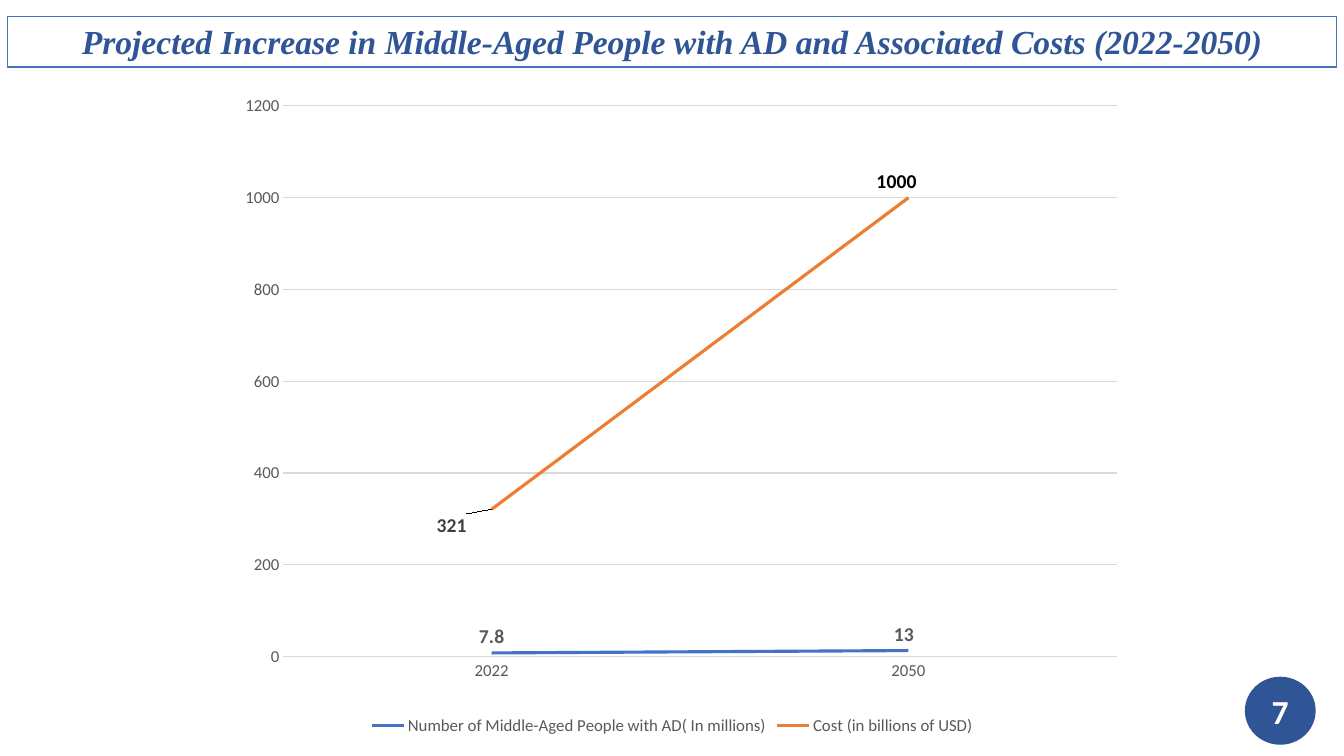
import dataclasses

import lxml.etree
import pptx
import pptx.chart.data
import pptx.dml.color
import pptx.enum.chart
import pptx.enum.shapes
import pptx.enum.text
import pptx.oxml.ns
import pptx.util
from pptx.util import Cm


@dataclasses.dataclass(frozen=True)
class Theme:
    body_font: str = "Calibri"
    title_font: str = "Times New Roman"
    navy: str = "2F5597"
    badge_edge: str = "325491"
    blue: str = "4472C4"
    orange: str = "ED7D31"
    white: str = "FFFFFF"
    black: str = "000000"
    dark_grey: str = "404040"
    grey: str = "595959"
    light_grey: str = "D9D9D9"
    title_size: int = 24
    label_size: int = 14
    axis_size: int = 12
    chart_size: int = 10


@dataclasses.dataclass(frozen=True)
class PointLabel:
    color: str
    shift: tuple = ()  # fractions of the chart's width and height


class SlideBuilder:
    def __init__(self, slide, theme):
        self.slide = slide
        self.theme = theme

    def set_font(self, font, size, color, name=None, bold=False, italic=False):
        font.name = name or self.theme.body_font
        font.size = pptx.util.Pt(size)
        font.color.rgb = pptx.dml.color.RGBColor.from_string(color)
        font.bold = bold
        font.italic = italic

    def set_line(self, line, color, width):
        line.color.rgb = pptx.dml.color.RGBColor.from_string(color)
        line.width = pptx.util.Pt(width)

    def add_text_shape(self, preset, box, text, color, edge, edge_width, fill=None,
                       anchor=pptx.enum.text.MSO_ANCHOR.MIDDLE, **style):
        shape = self.slide.shapes.add_shape(preset, *map(Cm, box))
        shape.shadow.inherit = False
        if fill:
            shape.fill.solid()
            shape.fill.fore_color.rgb = pptx.dml.color.RGBColor.from_string(fill)
        else:
            shape.fill.background()
        self.set_line(shape.line, edge, edge_width)
        frame = shape.text_frame
        frame.word_wrap = True
        frame.vertical_anchor = anchor
        paragraph = frame.paragraphs[0]
        paragraph.text = text
        paragraph.alignment = pptx.enum.text.PP_ALIGN.CENTER
        self.set_font(paragraph.font, self.theme.title_size, color, **style)
        return shape

    def add_layout(self, parent, index, **settings):
        """Place a manual chart layout among the children of parent."""
        qn = pptx.oxml.ns.qn
        for previous in parent.findall(qn("c:layout")):
            parent.remove(previous)
        layout = lxml.etree.Element(qn("c:layout"))
        manual = lxml.etree.SubElement(layout, qn("c:manualLayout"))
        for key, value in settings.items():
            lxml.etree.SubElement(manual, qn(f"c:{key}")).set("val", str(value))
        parent.insert(index, layout)

    def style_axis(self, axis):
        axis.major_tick_mark = pptx.enum.chart.XL_TICK_MARK.NONE
        axis.minor_tick_mark = pptx.enum.chart.XL_TICK_MARK.NONE
        self.set_font(axis.tick_labels.font, self.theme.axis_size, self.theme.grey)

    def style_series(self, series, color, point_labels):
        above = pptx.enum.chart.XL_LABEL_POSITION.ABOVE
        series.smooth = False
        self.set_line(series.format.line, color, 2.25)
        labels = series.data_labels
        labels.show_value = True
        labels.position = above
        self.set_font(labels.font, self.theme.axis_size, self.theme.dark_grey)
        for index, point_label in enumerate(point_labels):
            label = series.points[index].data_label
            self.set_font(label.font, self.theme.label_size, point_label.color, bold=True)
            label.position = above
            if point_label.shift:
                element = series._element.xpath(f'c:dLbls/c:dLbl[c:idx/@val="{index}"]')[0]
                x, y = point_label.shift
                self.add_layout(element, 1, x=x, y=y)

    def add_line_chart(self, box, categories, lines):
        data = pptx.chart.data.CategoryChartData()
        data.categories = categories
        for name, values, _, _ in lines:
            data.add_series(name, values)
        chart = self.slide.shapes.add_chart(
            pptx.enum.chart.XL_CHART_TYPE.LINE, *map(Cm, box), data).chart
        self.set_font(chart.font, self.theme.chart_size, self.theme.black)
        chart.has_title = False
        chart.plots[0].vary_by_categories = False
        self.add_layout(chart._chartSpace.chart.plotArea, 0, layoutTarget="inner",
                        xMode="edge", yMode="edge", x=0.072, y=0.031, w=0.917, h=0.842)

        # Axes and gridlines
        years, amounts = chart.category_axis, chart.value_axis
        for axis in (years, amounts):
            self.style_axis(axis)
        self.set_line(years.format.line, self.theme.light_grey, 0.75)
        amounts.format.line.fill.background()
        amounts.minimum_scale, amounts.maximum_scale, amounts.major_unit = 0, 1200, 200
        amounts.has_major_gridlines = True
        self.set_line(amounts.major_gridlines.format.line, self.theme.light_grey, 0.75)

        # Legend
        chart.has_legend = True
        chart.legend.position = pptx.enum.chart.XL_LEGEND_POSITION.BOTTOM
        chart.legend.include_in_layout = False
        self.set_font(chart.legend.font, self.theme.axis_size, self.theme.grey)

        for series, (_, _, color, point_labels) in zip(chart.plots[0].series, lines):
            self.style_series(series, color, point_labels)


def main():
    presentation = pptx.Presentation()
    presentation.slide_width, presentation.slide_height = Cm(33.87), Cm(19.05)
    theme = Theme()
    builder = SlideBuilder(presentation.slides.add_slide(presentation.slide_layouts[6]), theme)
    shapes = pptx.enum.shapes.MSO_SHAPE

    # Title
    title = builder.add_text_shape(
        shapes.RECTANGLE, (0.2, 0.41, 33.48, 1.28),
        "Projected Increase in Middle-Aged People with AD and Associated Costs (2022-2050)",
        theme.navy, theme.blue, 0.75, anchor=pptx.enum.text.MSO_ANCHOR.TOP,
        name=theme.title_font, bold=True, italic=True)
    title.text_frame.auto_size = pptx.enum.text.MSO_AUTO_SIZE.SHAPE_TO_FIT_TEXT

    # Projection chart
    builder.add_line_chart((5.49, 2.16, 22.91, 16.48), ["2022", "2050"], [
        ("Number of Middle-Aged People with AD( In millions)", (7.8, 13), theme.blue,
         [PointLabel(theme.grey), PointLabel(theme.grey, (-0.005, 0))]),
        ("Cost (in billions of USD)", (321, 1000), theme.orange,
         [PointLabel(theme.dark_grey, (-0.044, 0.05)), PointLabel(theme.black, (-0.013, 0))]),
    ])

    # Page number
    builder.add_text_shape(shapes.OVAL, (31.39, 17.07, 1.75, 1.68), "7", theme.white,
                           theme.badge_edge, 1, fill=theme.navy, bold=True)

    presentation.save("out.pptx")


if __name__ == "__main__":
    main()
